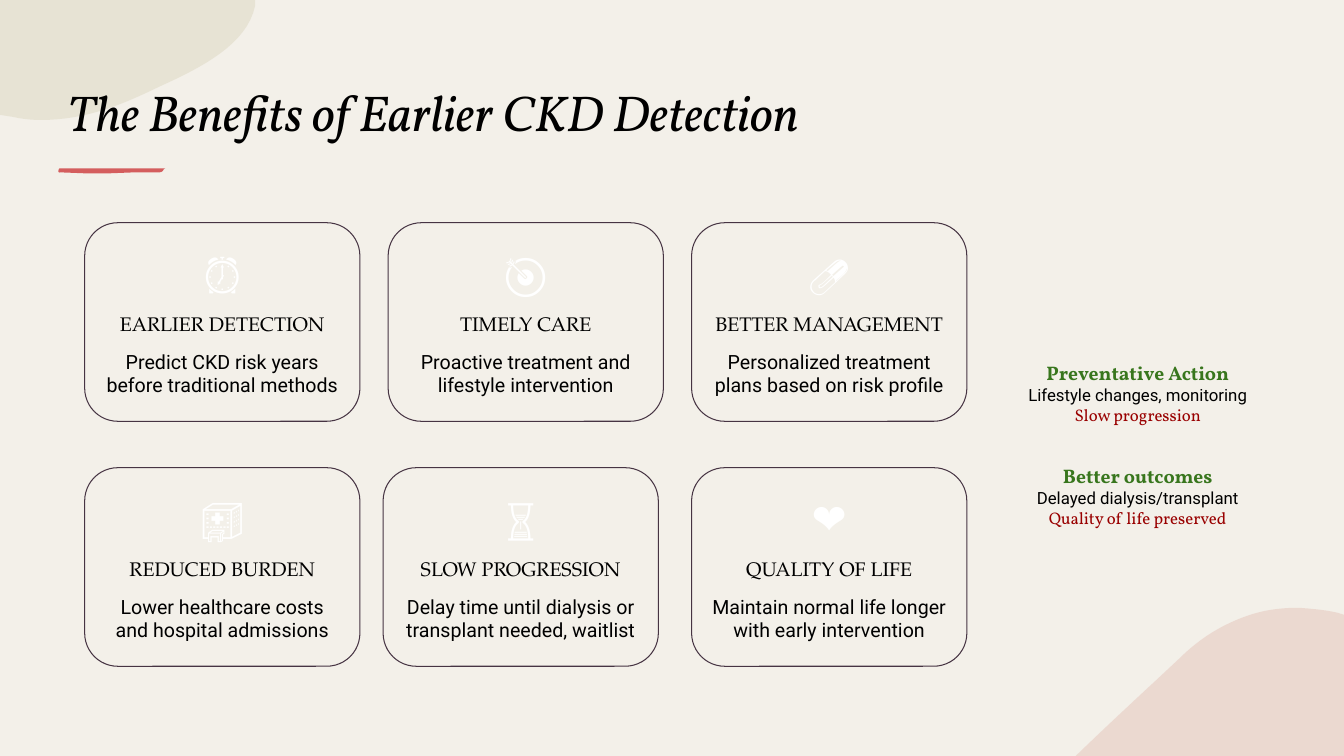
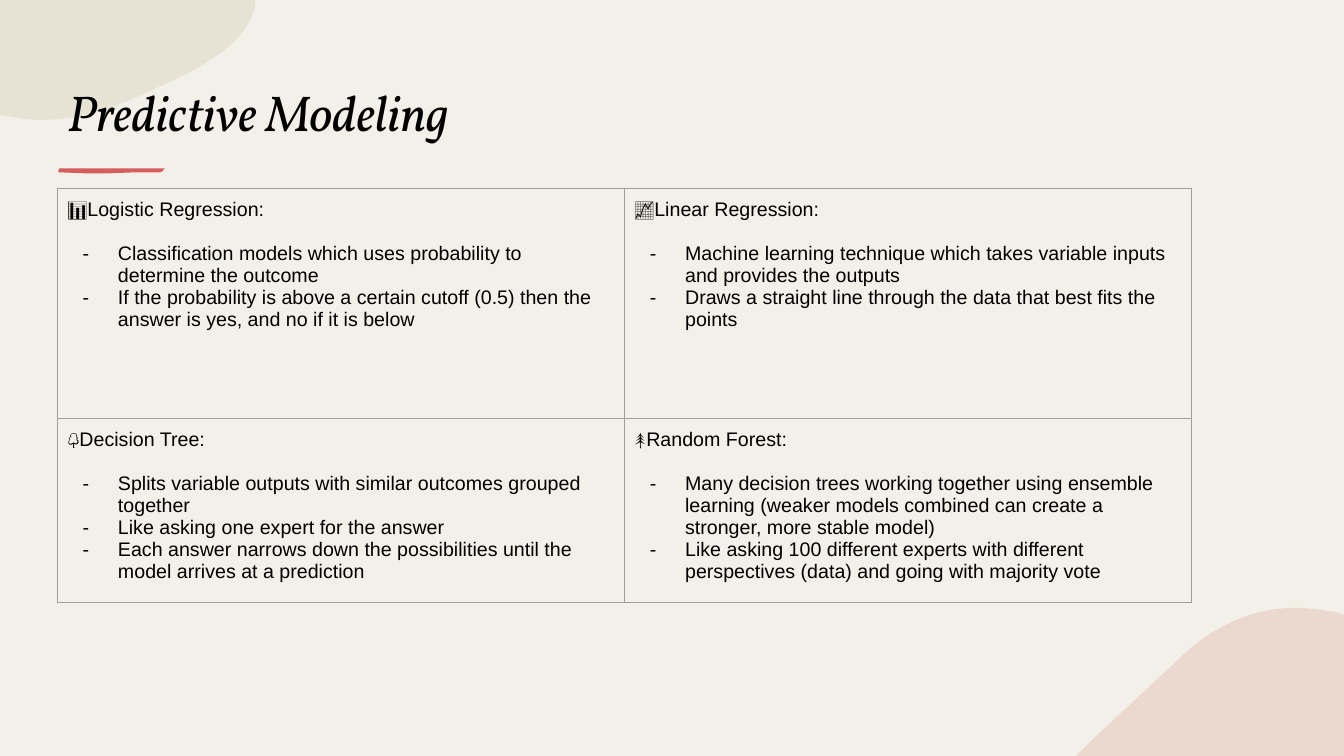
from lxml.etree import SubElement
from pptx import Presentation
from pptx.dml.color import RGBColor
from pptx.enum.shapes import MSO_SHAPE
from pptx.enum.text import MSO_ANCHOR, PP_ALIGN
from pptx.oxml import parse_xml
from pptx.oxml.ns import nsdecls, qn
from pptx.util import Inches, Pt

CREAM = RGBColor(0xF3, 0xF0, 0xE9)
ROSE = RGBColor(0xE4, 0xC3, 0xB9)
SAGE = RGBColor(0xDC, 0xD7, 0xC1)
CORAL = RGBColor(0xD4, 0x5E, 0x5E)
PLUM = RGBColor(0x46, 0x34, 0x43)
GREY = RGBColor(0x9E, 0x9E, 0x9E)
BLACK = RGBColor(0, 0, 0)
WHITE = RGBColor(0xFF, 0xFF, 0xFF)
GREEN = RGBColor(0x38, 0x76, 0x1D)
RED = RGBColor(0x99, 0, 0)

SERIF, CAPS, SANS, PLAIN, ICON = "Vollkorn", "TeX Gyre Pagella", "Roboto", "Arial", "DejaVu Sans"

# A pair is a straight step; a triple of pairs is a Bézier step.
ROSE_HILL = [
    (12.88, 6.03), ((13.01, 6.04), (13.14, 6.05), (13.27, 6.08)), (13.33, 6.1),
    (13.33, 7.5), (10.67, 7.5), (10.68, 7.49),
    ((11.02, 7.16), (11.37, 6.84), (11.69, 6.54)),
    ((11.91, 6.32), (12.14, 6.19), (12.37, 6.11)),
    ((12.54, 6.05), (12.71, 6.03), (12.88, 6.03)),
]
SAGE_CORNER = [
    (0, 0), (2.53, 0), (2.53, 0.06),
    ((2.45, 0.44), (2, 0.67), (1.58, 0.86)),
    ((1.23, 1.03), (0.86, 1.19), (0.41, 1.19)),
    ((0.31, 1.19), (0.22, 1.18), (0.13, 1.16)), (0, 1.14),
]
BRUSH_STROKE = [
    (0.59, 1.67), (0.75, 1.67), (1.11, 1.67), (1.64, 1.67),
    ((1.61, 1.68), (1.63, 1.71), (1.57, 1.71)), (1.33, 1.71), (1.07, 1.72),
    (0.86, 1.72), (0.6, 1.71), ((0.57, 1.72), (0.58, 1.68), (0.59, 1.67)),
]

CARDS = [
    [("⏰", "EARLIER DETECTION", "Predict CKD risk years before traditional methods"),
     ("🎯", "TIMELY CARE", "Proactive treatment and lifestyle intervention"),
     ("💊", "BETTER MANAGEMENT", "Personalized treatment plans based on risk profile")],
    [("🏥", "REDUCED BURDEN", "Lower healthcare costs and hospital admissions"),
     ("⏳", "SLOW PROGRESSION", "Delay time until dialysis or transplant needed, waitlist"),
     ("❤️", "QUALITY OF LIFE", "Maintain normal life longer with early intervention")],
]
OUTCOMES = [
    ("Preventative Action", "Lifestyle changes, monitoring", "Slow progression"),
    ("Better outcomes", "Delayed dialysis/transplant", "Quality of life preserved"),
]
MODELS = [
    [("📊Logistic Regression:",
      ["Classification models which uses probability to determine the outcome",
       "If the probability is above a certain cutoff (0.5) then the answer is yes, and no if it is below"]),
     ("📈Linear Regression:",
      ["Machine learning technique which takes variable inputs and provides the outputs",
       "Draws a straight line through the data that best fits the points"])],
    [("🌳Decision Tree:",
      ["Splits variable outputs with similar outcomes grouped together",
       "Like asking one expert for the answer",
       "Each answer narrows down the possibilities until the model arrives at a prediction"]),
     ("🌲Random Forest:",
      ["Many decision trees working together using ensemble learning "
       "(weaker models combined can create a stronger, more stable model)",
       "Like asking 100 different experts with different perspectives (data) and going with majority vote"])],
]


def add_text(tf, text, size=14, font=PLAIN, color=BLACK, bold=False, italic=False,
             align=PP_ALIGN.LEFT, before=0, after=0, bullet=None):
    """Write one paragraph, using the frame's first one while it is empty."""
    p = tf.paragraphs[0] if not tf.text else tf.add_paragraph()
    p.alignment, p.space_before, p.space_after = align, Pt(before), Pt(after)
    r = p.add_run()
    r.text = text
    f = r.font
    f.size, f.name, f.bold, f.italic = Pt(size), font, bold, italic
    f.color.rgb = color
    if bullet:
        pPr = p._p.get_or_add_pPr()
        pPr.set("marL", str(Inches(0.5)))
        pPr.set("indent", str(Inches(-0.35)))
        SubElement(SubElement(pPr, qn("a:buClr")), qn("a:srgbClr"), val=str(color))
        SubElement(pPr, qn("a:buFont"), typeface=font)
        SubElement(pPr, qn("a:buChar"), char=bullet)


def prepare_frame(tf, anchor, side=0.1, end=0.1):
    tf.word_wrap = True
    tf.vertical_anchor = anchor
    tf.margin_left = tf.margin_right = Inches(side)
    tf.margin_top = tf.margin_bottom = Inches(end)
    return tf


def add_textbox(slide, box, anchor):
    sp = slide.shapes.add_textbox(*map(Inches, box))
    return prepare_frame(sp.text_frame, anchor, end=0.05)


def trace(outline, steps=16):
    """Turn an outline of straight and Bézier steps into points."""
    points = [outline[0]]
    for step in outline[1:]:
        if isinstance(step[0], tuple):
            curve = (points[-1], *step)
            for i in range(1, steps + 1):
                t = i / steps
                weights = ((1 - t) ** 3, 3 * t * (1 - t) ** 2, 3 * t * t * (1 - t), t ** 3)
                points.append(tuple(sum(w * c[axis] for w, c in zip(weights, curve)) for axis in (0, 1)))
        else:
            points.append(step)
    return [(Inches(x), Inches(y)) for x, y in points]


def add_blob(slide, outline, color, opacity=100):
    start, *rest = trace(outline)
    builder = slide.shapes.build_freeform(*start)
    builder.add_line_segments(rest, close=True)
    sp = builder.convert_to_shape()
    sp.shadow.inherit = False
    sp.fill.solid()
    sp.fill.fore_color.rgb = color
    sp.line.fill.background()
    if opacity < 100:
        clr = next(sp.element.iter(qn("a:srgbClr")))
        SubElement(clr, qn("a:alpha"), val=str(opacity * 1000))


def add_titled_slide(prs, title):
    slide = prs.slides.add_slide(prs.slide_layouts[6])
    slide.background.fill.solid()
    slide.background.fill.fore_color.rgb = CREAM
    add_blob(slide, ROSE_HILL, ROSE, 50)
    add_blob(slide, SAGE_CORNER, SAGE, 50)
    add_blob(slide, BRUSH_STROKE, CORAL)
    tf = add_textbox(slide, (0.57, 0, 11.02, 1.45), MSO_ANCHOR.BOTTOM)
    add_text(tf, title, size=36, font=SERIF, italic=True)
    return slide


def add_card(slide, box, icon, heading, body):
    sp = slide.shapes.add_shape(MSO_SHAPE.ROUNDED_RECTANGLE, *map(Inches, box))
    sp.shadow.inherit = False
    sp.fill.solid()
    sp.fill.fore_color.rgb = CREAM
    sp.line.color.rgb = PLUM
    sp.line.width = Pt(0.75)
    tf = prepare_frame(sp.text_frame, MSO_ANCHOR.MIDDLE)
    add_text(tf, icon, size=30, font=ICON, color=WHITE, align=PP_ALIGN.CENTER)
    add_text(tf, heading, font=CAPS, align=PP_ALIGN.CENTER, before=10)
    add_text(tf, body, font=SANS, align=PP_ALIGN.CENTER, before=10)


def add_card_grid(slide, box, cards):
    left, top, width, height = box
    card_w, card_h = 2.73, 1.97
    pitch_x = (width - card_w) / (len(cards[0]) - 1)
    pitch_y = (height - card_h) / (len(cards) - 1)
    for row, line in enumerate(cards):
        for col, card in enumerate(line):
            nudge = -0.05 if (row, col) == (1, 1) else 0
            place = (left + col * pitch_x + nudge, top + row * pitch_y, card_w, card_h)
            add_card(slide, place, *card)


def add_outcomes(slide, box, outcomes):
    tf = add_textbox(slide, box, MSO_ANCHOR.MIDDLE)
    for i, (heading, detail, result) in enumerate(outcomes):
        add_text(tf, heading, font=SERIF, color=GREEN, bold=True,
                 align=PP_ALIGN.CENTER, before=28 if i else 0)
        add_text(tf, detail, size=12, font=SANS, align=PP_ALIGN.CENTER)
        add_text(tf, result, size=12, font=SERIF, color=RED, align=PP_ALIGN.CENTER)


def set_borders(cell, color, width):
    tcPr = cell._tc.get_or_add_tcPr()
    for i, side in enumerate("LRTB"):
        tcPr.insert(i, parse_xml(
            f'<a:ln{side} {nsdecls("a")} w="{Pt(width)}"><a:solidFill>'
            f'<a:srgbClr val="{color}"/></a:solidFill></a:ln{side}>'))


def add_model_table(slide, box, models, row_heights):
    table = slide.shapes.add_table(len(models), len(models[0]), *map(Inches, box)).table
    table.first_row = table.horz_banding = False
    for row, height, line in zip(table.rows, row_heights, models):
        row.height = Inches(height)
        for cell, (name, points) in zip(row.cells, line):
            cell.fill.background()
            set_borders(cell, GREY, 0.75)
            cell.margin_left = cell.margin_right = Inches(0.1)
            cell.margin_top = cell.margin_bottom = Inches(0.1)
            add_text(cell.text_frame, name, after=16)
            for point in points:
                add_text(cell.text_frame, point, bullet="-")


def build_benefits(prs):
    slide = add_titled_slide(prs, "The Benefits of Earlier CKD Detection")
    add_card_grid(slide, (0.84, 2.21, 8.75, 4.4), CARDS)
    add_outcomes(slide, (9.75, 2.21, 3.07, 4.4), OUTCOMES)


def build_modeling(prs):
    slide = add_titled_slide(prs, "Predictive Modeling")
    add_model_table(slide, (0.57, 1.87, 11.25, 4.01), MODELS, (2.28, 1.73))


def main():
    prs = Presentation()
    prs.slide_width, prs.slide_height = Inches(13.33), Inches(7.5)
    build_benefits(prs)
    build_modeling(prs)
    prs.save("out.pptx")


if __name__ == "__main__":
    main()
